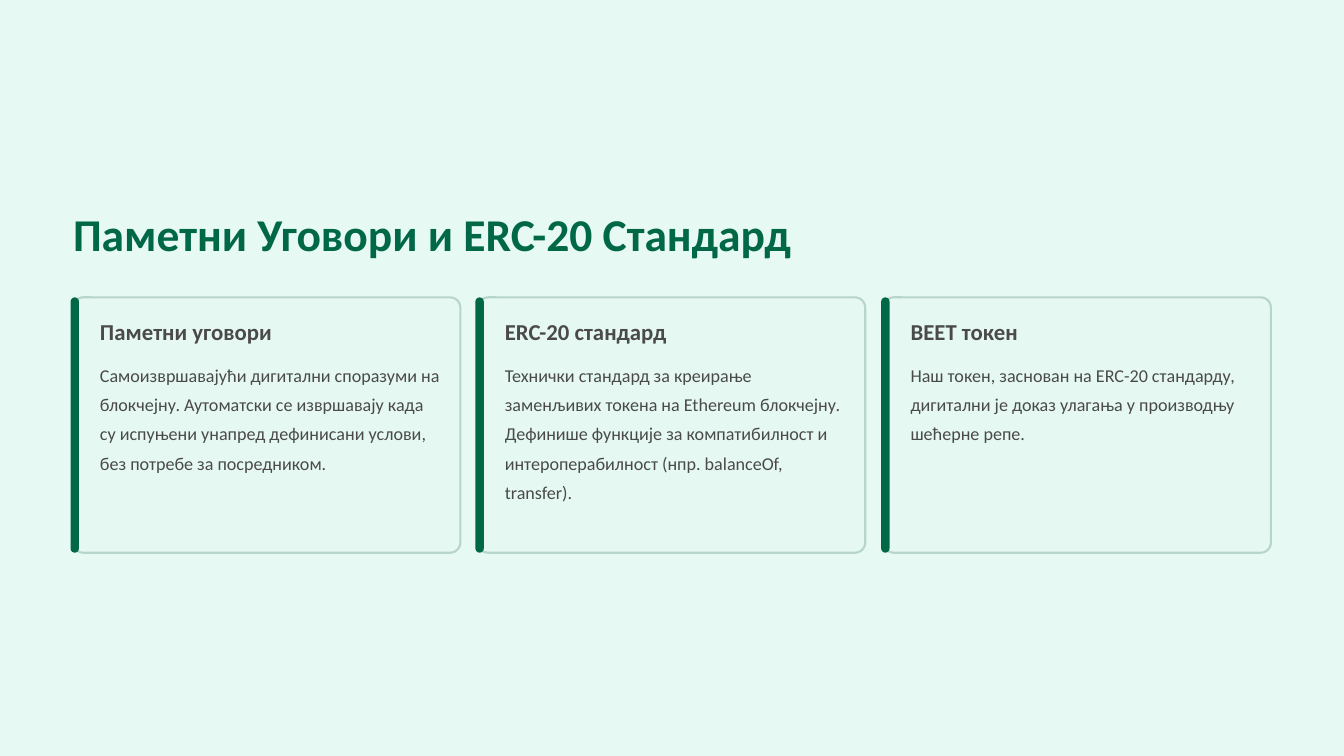
import pptx
import pptx.dml.color
import pptx.enum.shapes
import pptx.enum.text
import pptx.oxml
import pptx.oxml.ns
import pptx.util
from dataclasses import dataclass

PX = 9144  # EMU per px, 100 px to the inch


@dataclass(frozen=True)
class Theme:
    font: str = "Calibri"
    background: str = "E6F9F3"
    card: str = "E5F9F2"
    border: str = "B7D5CA"
    accent: str = "006747"
    ink: str = "4B4A4A"
    # Type size and line spacing in points
    title: tuple = (39, 48.5)
    heading: tuple = (19.5, 24)
    body: tuple = (15.5, 25)


def rgb(value):
    return pptx.dml.color.RGBColor.from_string(value)


class Deck:
    def __init__(self, theme):
        self.theme = theme
        self.presentation = pptx.Presentation()
        self.presentation.slide_width = 1600 * PX
        self.presentation.slide_height = 900 * PX
        layout = self.presentation.slide_layouts[5]
        self.slide = self.presentation.slides.add_slide(layout)
        backdrop = self.slide.background.fill
        backdrop.solid()
        backdrop.fore_color.rgb = rgb(theme.background)

    def set_text(self, holder, words, style, color, bold=False, wrap=False):
        frame = holder.text_frame
        frame.text = words
        frame.word_wrap = wrap
        frame.auto_size = pptx.enum.text.MSO_AUTO_SIZE.NONE
        frame.vertical_anchor = pptx.enum.text.MSO_ANCHOR.TOP
        frame.margin_left = frame.margin_right = 0
        frame.margin_top = frame.margin_bottom = 0
        size, spacing = style
        paragraph = frame.paragraphs[0]
        paragraph.alignment = pptx.enum.text.PP_ALIGN.LEFT
        paragraph.line_spacing = pptx.util.Pt(spacing)
        paragraph.space_before = pptx.util.Pt(0)
        font = paragraph.runs[0].font
        font.name = self.theme.font
        font.size = pptx.util.Pt(size)
        font.bold = bold
        font.color.rgb = rgb(color)

    def title(self, words, left, top, width, height):
        heading = self.slide.shapes.title
        heading.left, heading.top = left * PX, top * PX
        heading.width, heading.height = width * PX, height * PX
        self.set_text(heading, words, self.theme.title, self.theme.accent, bold=True)

    def text(self, words, left, top, width, height, style, **options):
        box = self.slide.shapes.add_textbox(
            left * PX, top * PX, width * PX, height * PX)
        self.set_text(box, words, style, self.theme.ink, **options)

    def panel(self, left, top, width, height, fill, rounding, border=None, opacity=100):
        panel = self.slide.shapes.add_shape(
            pptx.enum.shapes.MSO_SHAPE.ROUNDED_RECTANGLE,
            left * PX, top * PX, width * PX, height * PX)
        panel.adjustments[0] = rounding
        panel.shadow.inherit = False
        panel.fill.solid()
        panel.fill.fore_color.rgb = rgb(fill)
        if opacity < 100:
            color = panel._element.spPr.find(".//" + pptx.oxml.ns.qn("a:srgbClr"))
            alpha = pptx.oxml.parse_xml(
                f'<a:alpha {pptx.oxml.ns.nsdecls("a")} val="{opacity * 1000}"/>')
            color.append(alpha)
        if border:
            panel.line.color.rgb = rgb(border)
            panel.line.width = pptx.util.Pt(1.8)
        else:
            panel.line.fill.background()

    def card(self, left, top, heading, body):
        theme = self.theme
        self.panel(left, top, 461, 304, theme.card, 0.04, theme.border, opacity=95)
        self.panel(left - 3, top, 10, 304, theme.accent, 0.5)
        self.text(heading, left + 32, top + 24, 271, 34, theme.heading, bold=True)
        self.text(body, left + 32, top + 71, 405, 208, theme.body, wrap=True)


CARDS = [
    ("Паметни уговори",
     "Самоизвршавајући дигитални споразуми на блокчејну. Аутоматски се "
     "извршавају када су испуњени унапред дефинисани услови, без потребе "
     "за посредником."),
    ("ЕRC-20 стандард",
     "Технички стандард за креирање заменљивих токена на Ethereum блокчејну. "
     "Дефинише функције за компатибилност и интероперабилност "
     "(нпр. balanceOf, transfer)."),
    ("BEET токен",
     "Наш токен, заснован на ЕRC-20 стандарду, дигитални је доказ улагања "
     "у производњу шећерне репе."),
]


def main():
    deck = Deck(Theme())

    # Title
    deck.title("Паметни Уговори и ЕRC-20 Стандард", 87, 243, 1077, 68)

    # Three cards, evenly spread across the content width
    first, last = 87, 1052
    for index, (heading, body) in enumerate(CARDS):
        left = first + (last - first) * index // (len(CARDS) - 1)
        deck.card(left, 354, heading, body)

    deck.presentation.save("out.pptx")


if __name__ == "__main__":
    main()
